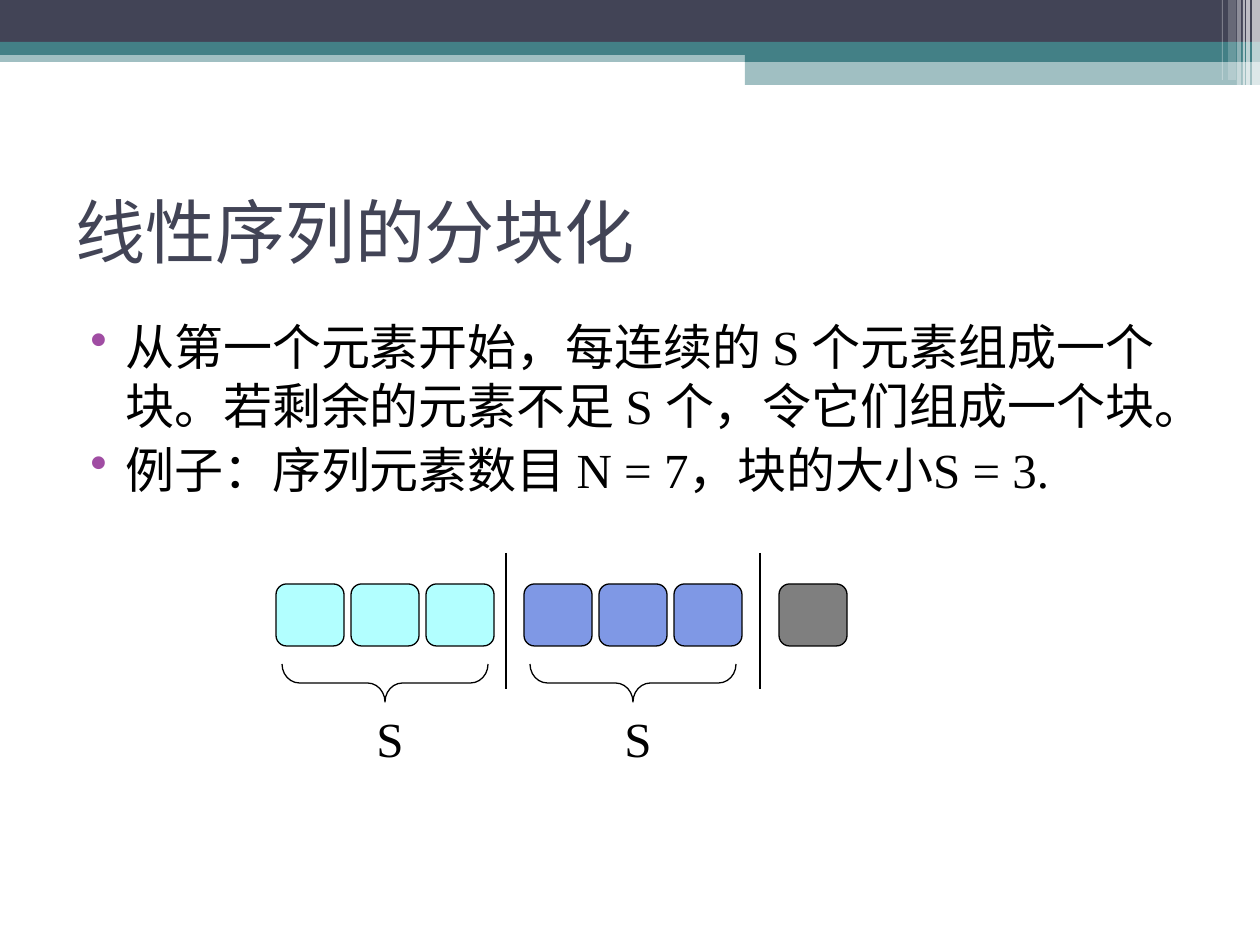
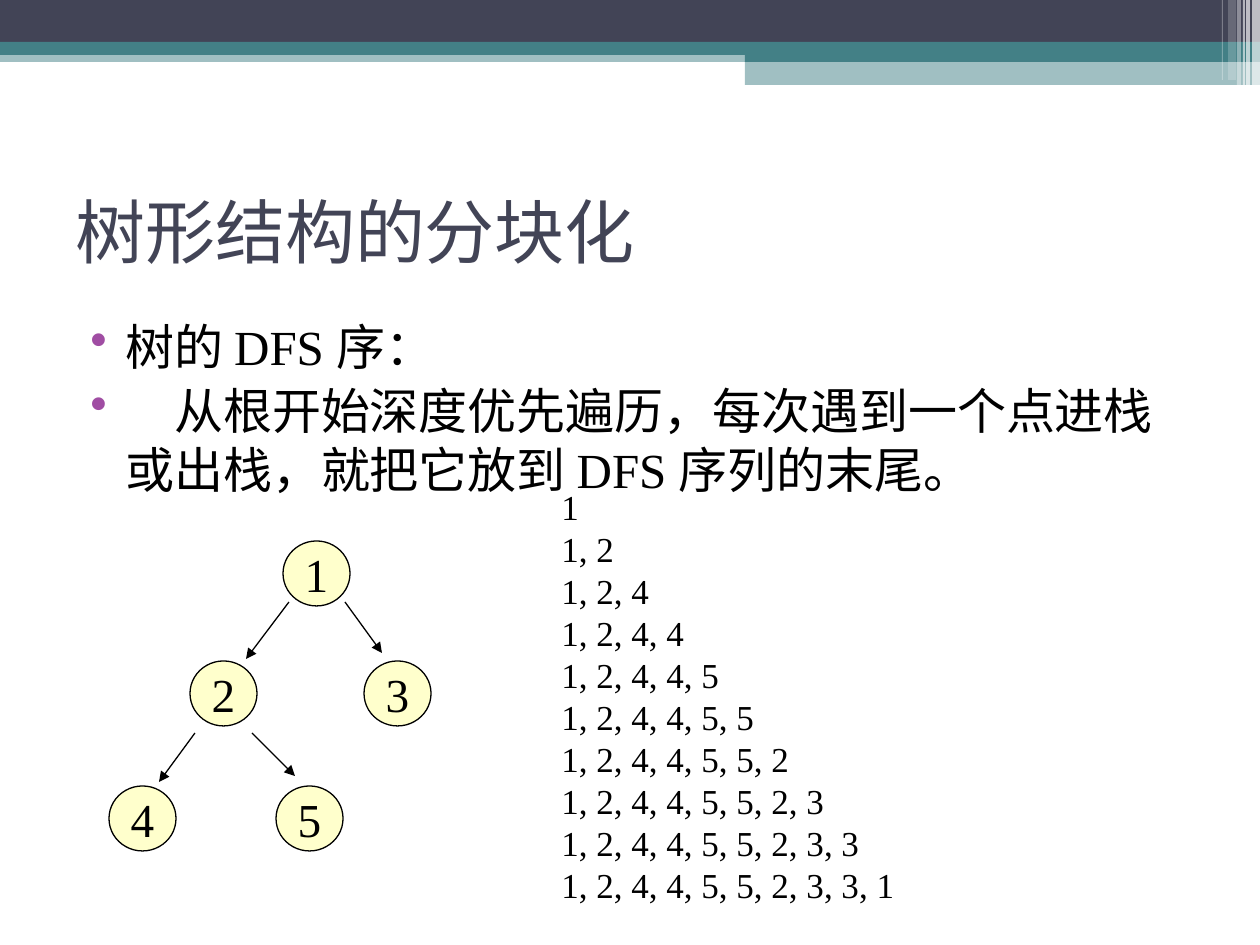
from pptx import Presentation
from pptx.dml.color import RGBColor
from pptx.enum.shapes import MSO_CONNECTOR, MSO_SHAPE
from pptx.enum.text import MSO_ANCHOR, PP_ALIGN
from pptx.oxml.ns import qn
from pptx.util import Emu, Pt
from lxml import etree

RECT, ROUND = MSO_SHAPE.RECTANGLE, MSO_SHAPE.ROUNDED_RECTANGLE
OVAL, BRACE = MSO_SHAPE.OVAL, MSO_SHAPE.LEFT_BRACE
LINE = MSO_CONNECTOR.STRAIGHT
MIDDLE, CENTER = MSO_ANCHOR.MIDDLE, PP_ALIGN.CENTER

SCALE = 914400 / 126
WIDE, HIGH = 1260, 945
NAVY, TEAL, WHITE, BLACK = "424456", "438086", "FFFFFF", "000000"
PURPLE, CYAN, BLUE, CREAM = "A04DA3", "66FFFF", "0033CC", "FFFFCC"
TITLE = {"name": "Lato", "size": Pt(40)}
BODY = {"name": "Times New Roman", "size": Pt(28)}
NODE = {**BODY, "size": Pt(27)}
TRACE = {**BODY, "size": Pt(20)}


def px(n):
    return Emu(round(n * SCALE))


def rgb(code):
    return RGBColor.from_string(code)


def apply(obj, values):
    for key, value in values.items():
        setattr(obj, key, value)


def sub(parent, tag, **attrs):
    return etree.SubElement(parent, qn(tag), attrs)


def paint(shape, color, alpha=100):
    shape.fill.solid()
    shape.fill.fore_color.rgb = rgb(color)
    if alpha < 100:
        code = next(shape._element.spPr.iter(qn("a:srgbClr")))
        sub(code, "a:alpha", val=str(alpha * 1000))


def add(slide, kind, box, color=None, alpha=100, edge=None):
    shape = slide.shapes.add_shape(kind, *map(px, box))
    shape.shadow.inherit = False
    if color:
        paint(shape, color, alpha)
    else:
        shape.fill.background()
    if edge:
        shape.line.color.rgb = rgb(edge)
        shape.line.width = Pt(0.75)
    else:
        shape.line.fill.background()
    return shape


def link(slide, ends, width, arrow=False):
    line = slide.shapes.add_connector(LINE, *map(px, ends))
    line.line.color.rgb = rgb(BLACK)
    line.line.width = Pt(width)
    props = line._element.spPr
    if arrow:
        sub(props.find(qn("a:ln")), "a:tailEnd", type="triangle")
    sub(props, "a:effectLst")


def write(frame, lines, font, color=BLACK, para={}):
    for i, text in enumerate(lines):
        item = frame.add_paragraph() if i else frame.paragraphs[0]
        apply(item, para)
        run = item.add_run()
        run.text = text
        apply(run.font, font)
        run.font.color.rgb = rgb(color)


def label(slide, box, lines, font, color=BLACK, para={}):
    frame = slide.shapes.add_textbox(*map(px, box)).text_frame
    frame.word_wrap = True
    write(frame, lines, font, color, para)
    return frame


# Shared frame: bands, title and bullets
def bands(slide, split=745):
    rest = WIDE - split
    for box, color, alpha in (
        ((0, 51, WIDE, 11), TEAL, 50),
        ((0, 0, WIDE, 42), NAVY, 100),
        ((0, 42, WIDE, 13), TEAL, 100),
        ((split, 49, rest, 13), TEAL, 100),
        ((split, 61, rest, 24), TEAL, 50),
    ):
        add(slide, RECT, box, color, alpha)
    # Light stripes at the right edge
    for x, w, h, alpha in (
        (1252, 8, 85, 65), (1246, 4, 85, 65), (1243, 2, 85, 60),
        (1237, 4, 85, 40), (1228, 8, 80, 20), (1222, 1, 80, 30),
    ):
        add(slide, RECT, (x, 0, w, h), WHITE, alpha)


def bullets(slide, box, lines):
    frame = label(slide, box, lines, BODY)
    for i, item in enumerate(frame.paragraphs):
        props = item._p.get_or_add_pPr()
        props.set("marL", str(px(50)))
        props.set("indent", str(px(-35)))
        sub(sub(props, "a:buClr"), "a:srgbClr", val=PURPLE)
        sub(props, "a:buChar", char="•")
        if i:
            item.space_before = Pt(3)


def page(deck, title, lines):
    slide = deck.slides.add_slide(deck.slide_layouts[6])
    bands(slide)
    head = label(slide, (63, 157, 1134, 147), [title], TITLE, NAVY)
    head.vertical_anchor = MIDDLE
    bullets(slide, (63, 310, 1134, 596), lines)
    return slide


# Row of cells cut into blocks of three
def blocks(slide, left, top):
    for start, count, color in ((0, 3, CYAN), (248, 3, BLUE), (503, 1, BLACK)):
        x = left + start
        for i in range(count):
            cell = add(slide, ROUND, (x + 75 * i, top + 31, 68, 62),
                       color, 50, BLACK)
            cell.adjustments[0] = 0.17
        if count == 3:
            brace = add(slide, BRACE, (x + 90, top + 27, 38, 206), edge=BLACK)
            brace.rotation = 270
            brace.adjustments[0] = 0.46
            label(slide, (x + 88, top + 149, 78, 72), ["S"], BODY)
    for x in (left + 230, left + 484):
        link(slide, (x, top, x, top + 136), 1.5)


# Tree with numbered nodes
def tree(slide, left, top):
    spots = ((174, 0), (81, 120), (255, 120), (0, 245), (167, 245))
    for num, (x, y) in enumerate(spots, 1):
        node = add(slide, OVAL, (left + x, top + y, 67, 65), CREAM, edge=BLACK)
        frame = node.text_frame
        apply(frame, {"word_wrap": False, "vertical_anchor": MIDDLE})
        write(frame, [str(num)], NODE, para={"alignment": CENTER})
    for x1, y1, x2, y2 in ((180, 61, 137, 118), (236, 61, 273, 112),
                           (86, 192, 50, 241), (143, 192, 186, 235)):
        link(slide, (left + x1, top + y1, left + x2, top + y2), 0.75, True)


# Growing list of visited nodes
def trace(slide, box, walk):
    lines = [", ".join(walk[:n]) for n in range(1, len(walk) + 1)]
    label(slide, box, lines, TRACE, para={"line_spacing": Pt(24)})


def main():
    deck = Presentation()
    apply(deck, {"slide_width": px(WIDE), "slide_height": px(HIGH)})

    slide = page(deck, "线性序列的分块化", [
        "从第一个元素开始，每连续的 S 个元素组成一个块。"
        "若剩余的元素不足 S 个，令它们组成一个块。",
        "例子：序列元素数目 N = 7，块的大小S = 3.",
    ])
    blocks(slide, 276, 553)

    slide = page(deck, "树形结构的分块化", [
        "树的 DFS 序：",
        "　从根开始深度优先遍历，每次遇到一个点进栈或出栈，"
        "就把它放到 DFS 序列的末尾。",
    ])
    tree(slide, 109, 541)
    trace(slide, (549, 479, 578, 433), "1244552331")

    deck.save("out.pptx")


if __name__ == "__main__":
    main()
